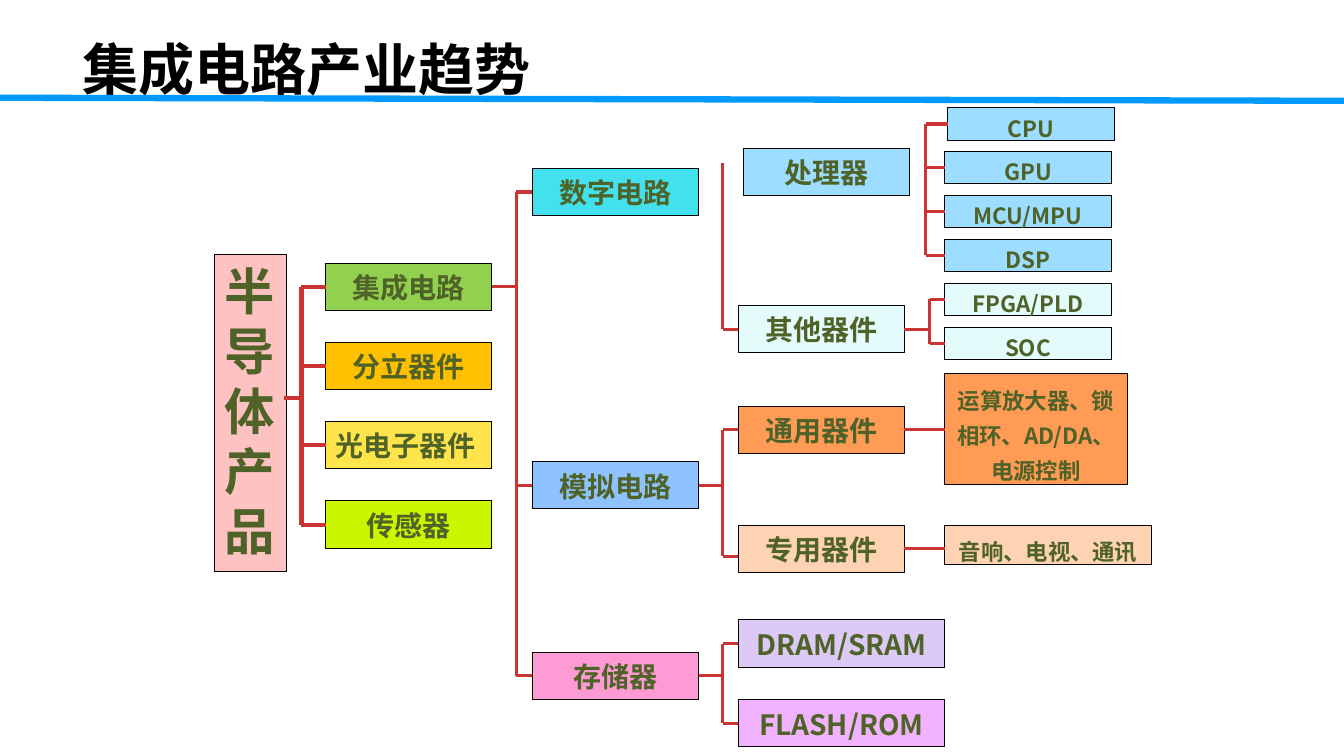
from pptx import Presentation
from pptx import util as u
from pptx.dml.color import RGBColor
from pptx.enum import shapes, text
from pptx.oxml import ns
from lxml import etree

FONT = "Noto Sans CJK SC"
COLOURS = {
    "title": "000000", "rule": "0099FF", "text": "4F6228", "outline": "000000",
    "link": "CC3333", "root": "FFC2C2", "integrated": "92D050",
    "discrete": "FFC000", "photonic": "FFE44B", "sensor": "CAF600",
    "digital": "43E1ED", "analog": "8FC3FF", "memory": "FF9BD4",
    "processor": "9DDDFF", "other": "E3FBFA", "general": "FF9B54",
    "special": "FED3B3", "dram": "DCC9F5", "flash": "F1B3FF",
}
TOP, LEFT, BOTTOM, RIGHT = range(4)


def rgb(name):
    """Return the named colour."""
    return RGBColor.from_string(COLOURS[name])


def write(frame, content, size=20, colour="text", align="CENTER",
          anchor="MIDDLE", spacing=25):
    """Put one formatted paragraph in a text frame."""
    frame.word_wrap = True
    frame.auto_size = text.MSO_AUTO_SIZE.NONE
    frame.vertical_anchor = text.MSO_ANCHOR[anchor]
    paragraph = frame.paragraphs[0]
    paragraph.alignment = text.PP_ALIGN[align]
    paragraph.space_before = u.Pt(0)
    paragraph.line_spacing = u.Pt(spacing) if spacing else 1.0
    run = paragraph.add_run()
    run.text = content
    run.font.size, run.font.bold, run.font.name = u.Pt(size), True, FONT
    run.font.color.rgb = rgb(colour)
    east_asian = etree.Element(ns.qn("a:ea"), typeface=FONT)
    run.font._element.find(ns.qn("a:latin")).addnext(east_asian)


def add_box(slide, box, content, fill, **style):
    """Draw an outlined, labelled rectangle."""
    shape = slide.shapes.add_shape(
        shapes.MSO_SHAPE.RECTANGLE, *(u.Inches(value) for value in box))
    shape.shadow.inherit = False
    shape.fill.solid()
    shape.fill.fore_color.rgb = rgb(fill)
    shape.line.color.rgb = rgb("outline")
    shape.line.width = u.Pt(0.75)
    write(shape.text_frame, content, **style)
    return shape


def add_stack(slide, box, pitch, rows, **style):
    """Draw equally spaced boxes downwards from the first box."""
    left, top, width, height = box
    return [add_box(slide, (left, top + index * pitch, width, height),
                    content, fill, **style)
            for index, (content, fill) in enumerate(rows)]


def add_line(slide, start, end, colour="link", weight=2.25):
    """Draw a straight line between two points in inches."""
    line = slide.shapes.add_connector(
        shapes.MSO_CONNECTOR.STRAIGHT,
        *(u.Inches(value) for value in (*start, *end)))
    line.line.color.rgb = rgb(colour)
    line.line.width = u.Pt(weight)
    etree.SubElement(line._element.spPr, ns.qn("a:effectLst"))
    return line


def middle(shape):
    """Return the height of a shape's centre in inches."""
    return (shape.top + shape.height / 2) / u.Inches(1)


def add_stub(slide, shape, side, x, weight=2.25):
    """Join the middle of a shape's side to a level point at x."""
    y = middle(shape)
    line = add_line(slide, (x, y), (x, y), weight=weight)
    line.begin_connect(shape, side)


def add_bracket(slide, x, children, parent=None, top=None, bottom=None,
                weight=2.25):
    """Join a parent to its children through an upright trunk at x."""
    heights = [middle(child) for child in children]
    add_line(slide, (x, top or min(heights)), (x, bottom or max(heights)),
             weight=weight)
    for child in children:
        add_stub(slide, child, LEFT, x, weight)
    if parent is not None:
        add_stub(slide, parent, RIGHT, x)


def draw_title(slide, box):
    """Place the title and the rule under it."""
    title = slide.shapes.title
    title.left, title.top, title.width, title.height = map(u.Inches, box)
    frame = title.text_frame
    frame.margin_left = frame.margin_right = u.Inches(0.13)
    frame.margin_top = frame.margin_bottom = u.Inches(0.07)
    write(frame, "集成电路产业趋势", size=40, colour="title", align="LEFT",
          spacing=None)
    rule_top = box[1] + 0.56
    add_line(slide, (0, rule_top), (13.33, rule_top + 0.03), "rule", 4.5)


def draw_products(slide, box):
    """Draw the root and its product families; return integrated circuits."""
    left, top, width, height = box
    add_box(slide, box, "半导体产品", "root", size=36, align="LEFT",
            anchor="TOP", spacing=43)
    families = add_stack(slide, (left + 1.1, top + 0.08, 1.65, 0.47), 0.787, [
        ("集成电路", "integrated"), ("分立器件", "discrete")])
    families.append(add_box(slide, (left + 1.1, top + 1.65, 1.65, 0.47),
                            "光电子器件", "photonic", align="LEFT"))
    families.append(add_box(slide, (left + 1.1, top + 2.44, 1.65, 0.47),
                            "传感器", "sensor"))
    add_bracket(slide, left + 0.86, families, weight=3)
    add_line(slide, (left + width - 0.02, top + 1.42),
             (left + 0.89, top + 1.42), weight=3)
    return families[0]


def draw_circuits(slide, box, parent):
    """Draw the circuit types under integrated circuits."""
    left, top, width, height = box
    rows = [("数字电路", "digital", 0), ("模拟电路", "analog", 2.91),
            ("存储器", "memory", 4.8)]
    circuits = [add_box(slide, (left, top + offset, width, height), name, fill)
                for name, fill, offset in rows]
    add_bracket(slide, left - 0.16, circuits, parent)
    return circuits


def draw_digital(slide, box):
    """Draw processors, other devices and their chips."""
    left, top, width, height = box
    add_box(slide, (left + 0.05, top, width, height), "处理器", "processor")
    other = add_box(slide, (left, top + 1.56, width, height), "其他器件", "other")
    add_bracket(slide, left - 0.15, [other], top=top + 0.15)
    cpu = add_box(slide, (left + 2.08, top - 0.4, width, 0.32), "CPU",
                  "processor", size=16)
    chips = add_stack(slide, (left + 2.05, top + 0.03, width, 0.32), 0.437, [
        ("GPU", "processor"), ("MCU/MPU", "processor"), ("DSP", "processor"),
        ("FPGA/PLD", "other"), ("SOC", "other")], size=16)
    add_bracket(slide, left + 1.86, [cpu] + chips[:3])
    add_bracket(slide, left + 1.9, chips[3:], other)


def draw_analog(slide, box, parent):
    """Draw general and special analog devices with their uses."""
    left, top, width, height = box
    general = add_box(slide, box, "通用器件", "general")
    special = add_box(slide, (left, top + 1.18, width, height),
                      "专用器件", "special")
    detail = left + 2.05
    add_box(slide, (detail, top - 0.32, 1.81, 1.1),
            "运算放大器、锁相环、AD/DA、电源控制", "general", size=16, anchor="TOP")
    add_box(slide, (detail, top + 1.18, 2.05, 0.39), "音响、电视、通讯",
            "special", size=16, anchor="TOP")
    for device in (general, special):
        add_stub(slide, device, RIGHT, detail)
    trunk, bottom = left - 0.15, top + 1.49
    add_bracket(slide, trunk, [general], parent, bottom=bottom)
    add_line(slide, (left, bottom), (trunk, bottom))


def draw_memory(slide, box, parent):
    """Draw the memory types."""
    memories = add_stack(slide, box, 0.79, [
        ("DRAM/SRAM", "dram"), ("FLASH/ROM", "flash")])
    add_bracket(slide, box[0] - 0.15, memories, parent)


def main():
    """Build and save the presentation."""
    presentation = Presentation()
    presentation.slide_width = u.Inches(13.33)
    presentation.slide_height = u.Inches(7.5)
    slide = presentation.slides.add_slide(presentation.slide_layouts[5])
    draw_title(slide, (0.69, 0.41, 6.8, 0.54))
    integrated = draw_products(slide, (2.13, 2.53, 0.71, 3.14))
    digital, analog, memory = draw_circuits(
        slide, (5.28, 1.67, 1.65, 0.47), integrated)
    draw_digital(slide, (7.32, 1.47, 1.65, 0.47))
    draw_analog(slide, (7.32, 4.03, 1.65, 0.47), analog)
    draw_memory(slide, (7.32, 6.15, 2.05, 0.47), memory)
    presentation.save("out.pptx")


if __name__ == "__main__":
    main()
